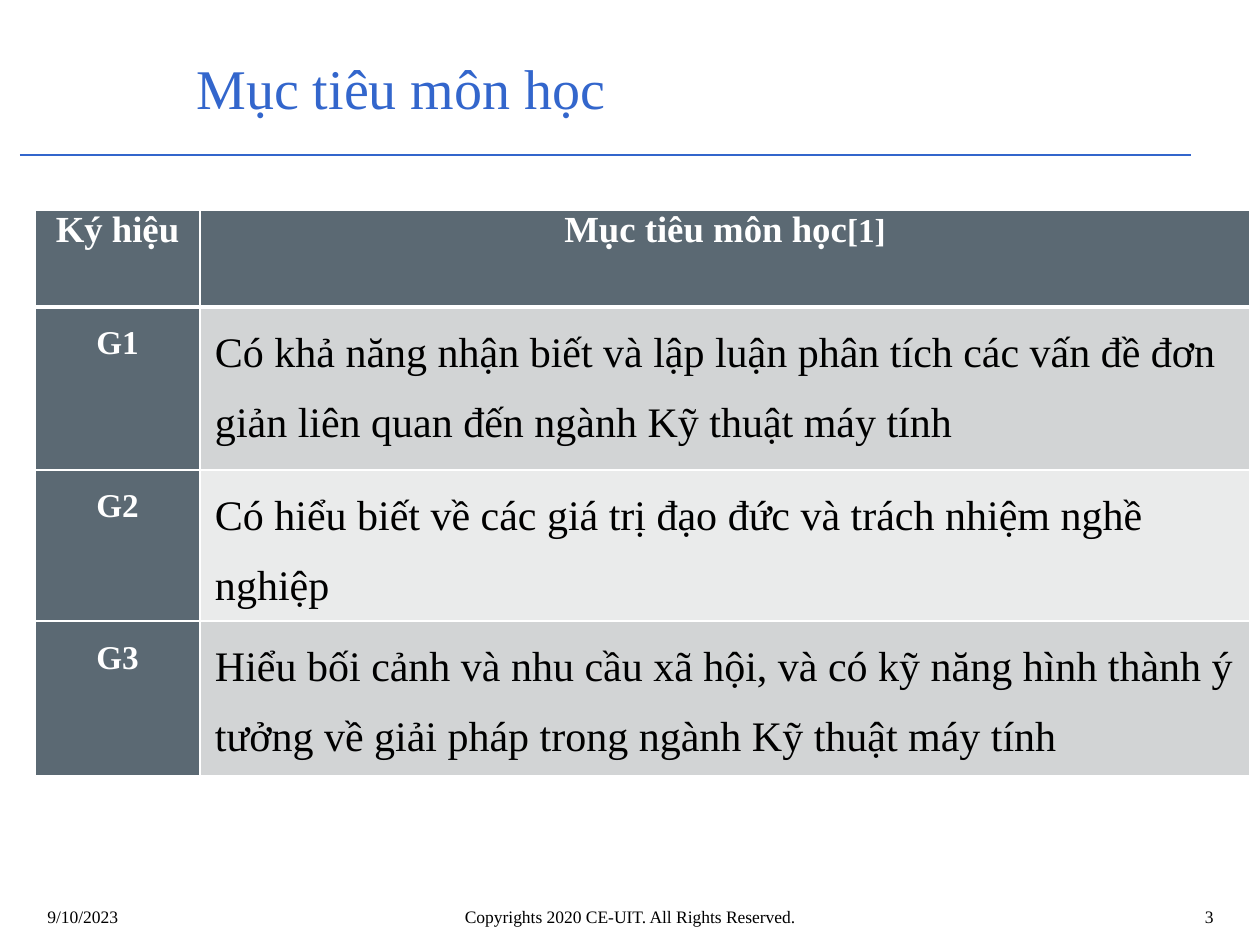
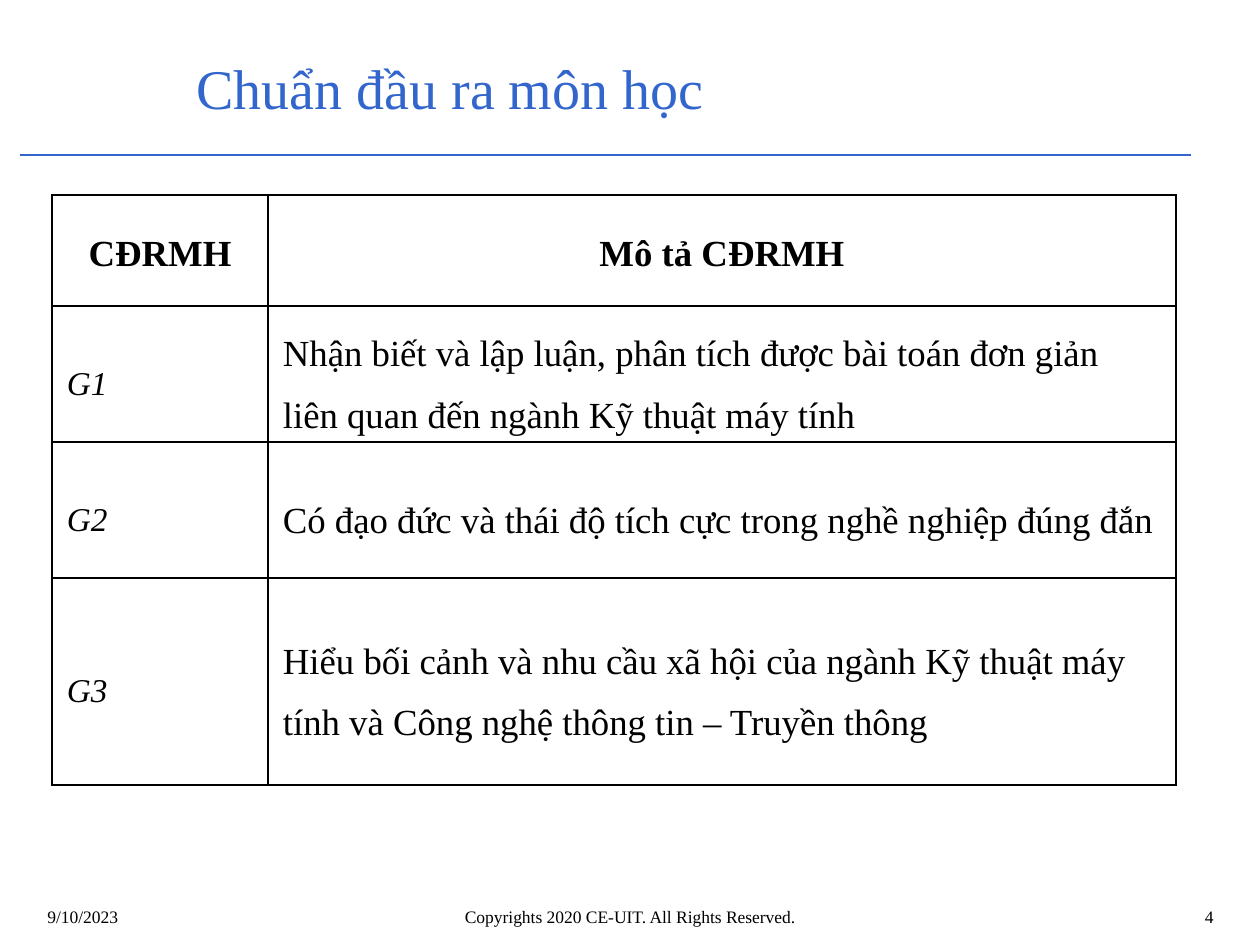
from collections import namedtuple

from lxml import etree
from pptx import Presentation
from pptx.dml.color import RGBColor
from pptx.enum.shapes import MSO_CONNECTOR
from pptx.enum.text import MSO_ANCHOR, PP_ALIGN
from pptx.oxml.ns import qn
from pptx.util import Pt

LEFT, CENTER, RIGHT = PP_ALIGN.LEFT, PP_ALIGN.CENTER, PP_ALIGN.RIGHT
TOP, MIDDLE = MSO_ANCHOR.TOP, MSO_ANCHOR.MIDDLE
STRAIGHT = MSO_CONNECTOR.STRAIGHT

EMU_PER_PX = 914400 / 126
FONT = "Times New Roman"
COLORS = {
    "title": "3366CC",
    "text": "000000",
    "white": "FFFFFF",
    "slate": "5B6973",
    "band_dark": "D2D4D5",
    "band_light": "EAEBEB",
}
DATE = "9/10/2023"
COPYRIGHT = "Copyrights 2020 CE-UIT. All Rights Reserved."

Box = namedtuple("Box", "left top width height")
Style = namedtuple("Style", "size color bold italic", defaults=("text", False, False))

PAGE = Box(0, 0, 1260, 945)
HEADER = Box(20, 39, 1171, 116)
FOOTER = Box(35, 900, 1191, 40)

GOALS = [
    ("G1", "Có khả năng nhận biết và lập luận phân tích các vấn đề đơn giản "
           "liên quan đến ngành Kỹ thuật máy tính"),
    ("G2", "Có hiểu biết về các giá trị đạo đức và trách nhiệm nghề nghiệp"),
    ("G3", "Hiểu bối cảnh và nhu cầu xã hội, và có kỹ năng hình thành ý tưởng "
           "về giải pháp trong ngành Kỹ thuật máy tính"),
]
OUTCOMES = [
    ("G1", "Nhận biết và lập luận, phân tích được bài toán đơn giản "
           "liên quan đến ngành Kỹ thuật máy tính"),
    ("G2", "Có đạo đức và thái độ tích cực trong nghề nghiệp đúng đắn"),
    ("G3", "Hiểu bối cảnh và nhu cầu xã hội của ngành Kỹ thuật máy tính "
           "và Công nghệ thông tin – Truyền thông"),
]


def px(length):
    return round(length * EMU_PER_PX)


def rgb(name):
    return RGBColor.from_string(COLORS[name])


def add_run(paragraph, text, style):
    run = paragraph.add_run()
    run.text = text
    font = run.font
    font.name, font.size = FONT, Pt(style.size)
    font.bold, font.italic = style.bold, style.italic
    font.color.rgb = rgb(style.color)


def add_text(slide, box, text, style, align=LEFT, anchor=TOP):
    shape = slide.shapes.add_textbox(*map(px, box))
    frame = shape.text_frame
    frame.word_wrap = True
    frame.vertical_anchor = anchor
    paragraph = frame.paragraphs[0]
    paragraph.alignment = align
    add_run(paragraph, text, style)


def add_header(slide, box, title):
    title_box = Box(box.left + 164, box.top, 1013, 96)
    add_text(slide, title_box, title, Style(32, "title"), anchor=MIDDLE)
    bottom = px(box.top + box.height)
    rule = slide.shapes.add_connector(
        STRAIGHT, px(box.left), bottom, px(box.left + box.width), bottom)
    rule.line.color.rgb = rgb("title")
    rule.line.width = Pt(0.75)
    etree.SubElement(rule._element.spPr, qn("a:effectLst"))


def add_footer(slide, box, number):
    style = Style(10)
    parts = [(0, 294, DATE, LEFT),
             (208, 774, COPYRIGHT, CENTER),
             (box.width - 242, 242, str(number), RIGHT)]
    for offset, width, text, align in parts:
        part = Box(box.left + offset, box.top, width, box.height)
        add_text(slide, part, text, style, align)


def set_border(cell, side, color, width):
    line = etree.SubElement(cell._tc.get_or_add_tcPr(), qn(f"a:ln{side}"), w=str(Pt(width)))
    fill = etree.SubElement(line, qn("a:solidFill"))
    etree.SubElement(fill, qn("a:srgbClr"), val=COLORS[color])


def add_grid(slide, box, columns, rows):
    frame = slide.shapes.add_table(len(rows), len(columns), *map(px, box))
    table = frame.table
    table.first_row = table.horz_banding = False
    for column, width in zip(table.columns, columns):
        column.width = px(width)
    for row, height in zip(table.rows, rows):
        row.height = px(height)
    return table


def fill_cell(cell, runs, align, spacing, anchor, border, fill=None, top=1, bottom=1):
    for side, width in (("L", 1), ("R", 1), ("T", top), ("B", bottom)):
        set_border(cell, side, border, width)
    if fill:
        cell.fill.solid()
        cell.fill.fore_color.rgb = rgb(fill)
    else:
        cell.fill.background()
    cell.margin_left = cell.margin_right = px(15)
    cell.margin_top = px(2 if anchor == MIDDLE else 0)
    cell.margin_bottom = 0
    cell.vertical_anchor = anchor
    paragraph = cell.text_frame.paragraphs[0]
    paragraph.alignment = align
    paragraph.line_spacing = spacing
    for text, style in runs:
        add_run(paragraph, text, style)


def add_goals_table(slide, box):
    table = add_grid(slide, box, [165, box.width - 165], [97, 163, 134, 155])
    heading = Style(21, "white", True)
    code_style = Style(19, "white", True)
    headings = [[("Ký hiệu", heading)],
                [("Mục tiêu môn học", heading), ("[1]", code_style)]]
    for column, runs in enumerate(headings):
        fill_cell(table.cell(0, column), runs, CENTER, 1.0, TOP, "white", "slate", bottom=3)
    for row, (code, goal) in enumerate(GOALS, 1):
        top = 3 if row == 1 else 1
        band = "band_dark" if row % 2 else "band_light"
        fill_cell(table.cell(row, 0), [(code, code_style)], CENTER, 1.5, TOP,
                  "white", "slate", top)
        fill_cell(table.cell(row, 1), [(goal, Style(24))], LEFT, 1.5, TOP,
                  "white", band, top)


def add_outcomes_table(slide, box):
    table = add_grid(slide, box, [216, box.width - 216], [111, 136, 136, 207])
    for column, heading in enumerate(("CĐRMH", "Mô tả CĐRMH")):
        fill_cell(table.cell(0, column), [(heading, Style(21, bold=True))],
                  CENTER, 1.15, MIDDLE, "text")
    for row, texts in enumerate(OUTCOMES, 1):
        for column, style in enumerate((Style(19, italic=True), Style(21))):
            fill_cell(table.cell(row, column), [(texts[column], style)],
                      LEFT, 1.5, MIDDLE, "text")


def main():
    presentation = Presentation()
    presentation.slide_width = px(PAGE.width)
    presentation.slide_height = px(PAGE.height)
    pages = [
        ("Mục tiêu môn học", add_goals_table, Box(35, 210, 1215, 549)),
        ("Chuẩn đầu ra môn học", add_outcomes_table, Box(52, 195, 1124, 590)),
    ]
    for number, (title, add_table, box) in enumerate(pages, 3):
        slide = presentation.slides.add_slide(presentation.slide_layouts[6])
        add_header(slide, HEADER, title)
        add_footer(slide, FOOTER, number)
        add_table(slide, box)
    presentation.save("out.pptx")


if __name__ == "__main__":
    main()
